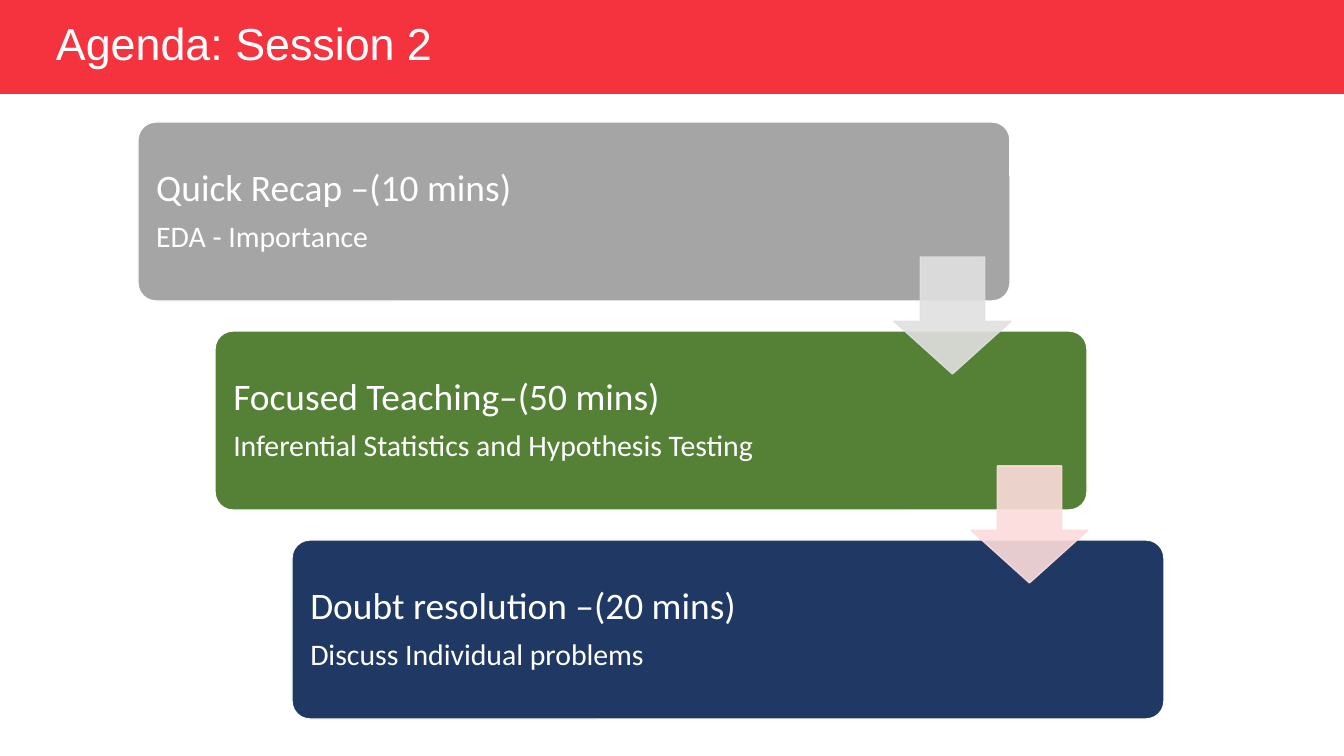
from lxml import etree
from pptx import Presentation, util as u
from pptx.dml.color import RGBColor
from pptx.enum import shapes, text
from pptx.oxml.ns import qn

SCALE = 914400 / 100.8
COLORS = {
    "white": "FFFFFF", "banner": "F5333F",
    "recap": "A5A5A5", "teaching": "548135", "doubts": "1F3864",
    "recap_arrow": "E0E0E0", "teaching_arrow": "FCDBDB",
}
STEPS = [
    ("Quick Recap –(10 mins)", "EDA - Importance", "recap"),
    ("Focused Teaching–(50 mins)", "Inferential Statistics and Hypothesis Testing", "teaching"),
    ("Doubt resolution –(20 mins)", "Discuss Individual problems", "doubts"),
]


def px(length):
    return u.Emu(round(length * SCALE))


def color(name):
    return RGBColor.from_string(COLORS[name])


def add_block(slide, kind, box, fill, line=None):
    shape = slide.shapes.add_shape(kind, *map(px, box))
    shape.shadow.inherit = False
    shape.fill.solid()
    shape.fill.fore_color.rgb = color(fill)
    if line:
        shape.line.color.rgb = color(line)
        shape.line.width = u.Pt(1)
    else:
        shape.line.fill.background()
    return shape


def set_margins(frame, left, top, right, bottom):
    frame.margin_left, frame.margin_top = px(left), px(top)
    frame.margin_right, frame.margin_bottom = px(right), px(bottom)
    frame.word_wrap = True
    frame.vertical_anchor = text.MSO_ANCHOR.MIDDLE


def write(paragraph, words, size, font, space_before=0):
    paragraph.alignment = text.PP_ALIGN.LEFT
    paragraph.line_spacing = 0.9
    paragraph.space_before = u.Pt(space_before)
    run = paragraph.add_run()
    run.text = words
    run.font.size = u.Pt(size)
    run.font.name = font
    run.font.color.rgb = color("white")


def add_banner(slide, box):
    left, top, width, height = box
    add_block(slide, shapes.MSO_SHAPE.RECTANGLE, box, "banner")
    title = slide.shapes.add_textbox(px(left + 46), px(top + 18), px(553), px(height - 38))
    set_margins(title.text_frame, 10, 5, 10, 5)
    write(title.text_frame.paragraphs[0], "Agenda: Session 2", 32, "Arial")


def add_card(slide, box, heading, detail, fill):
    card = add_block(slide, shapes.MSO_SHAPE.ROUNDED_RECTANGLE, box, fill, "white")
    card.adjustments[0] = 0.1
    frame = card.text_frame
    set_margins(frame, 13, 13, 200, 13)
    write(frame.paragraphs[0], heading, 26.7, "Calibri")
    write(frame.add_paragraph(), detail, 21.3, "Calibri", 9.3)


def add_arrow(slide, box, fill):
    arrow = add_block(slide, shapes.MSO_SHAPE.DOWN_ARROW, box, fill, fill)
    arrow.adjustments[0] = 0.55
    arrow.adjustments[1] = 0.45
    for shade in arrow.element.spPr.iter(qn("a:srgbClr")):
        etree.SubElement(shade, qn("a:alpha")).set("val", "90000")


def add_staircase(slide, box):
    left, top, width, height = box
    step_x, step_y = 77, 209
    card_width = width - step_x * (len(STEPS) - 1)
    card_height = height - step_y * (len(STEPS) - 1)
    corners = [(left + i * step_x, top + i * step_y) for i in range(len(STEPS))]
    for (x, y), step in zip(corners, STEPS):
        add_card(slide, (x, y, card_width, card_height), *step)
    for (x, y), step in zip(corners[:-1], STEPS):
        add_arrow(slide, (x + card_width - 116, y + 135, 117, 117), step[2] + "_arrow")


def main():
    presentation = Presentation()
    presentation.slide_width, presentation.slide_height = px(1344), px(756)
    slide = presentation.slides.add_slide(presentation.slide_layouts[6])
    add_banner(slide, (0, 0, 1344, 94))
    add_staircase(slide, (138, 122, 1026, 597))
    presentation.save("out.pptx")


if __name__ == "__main__":
    main()
